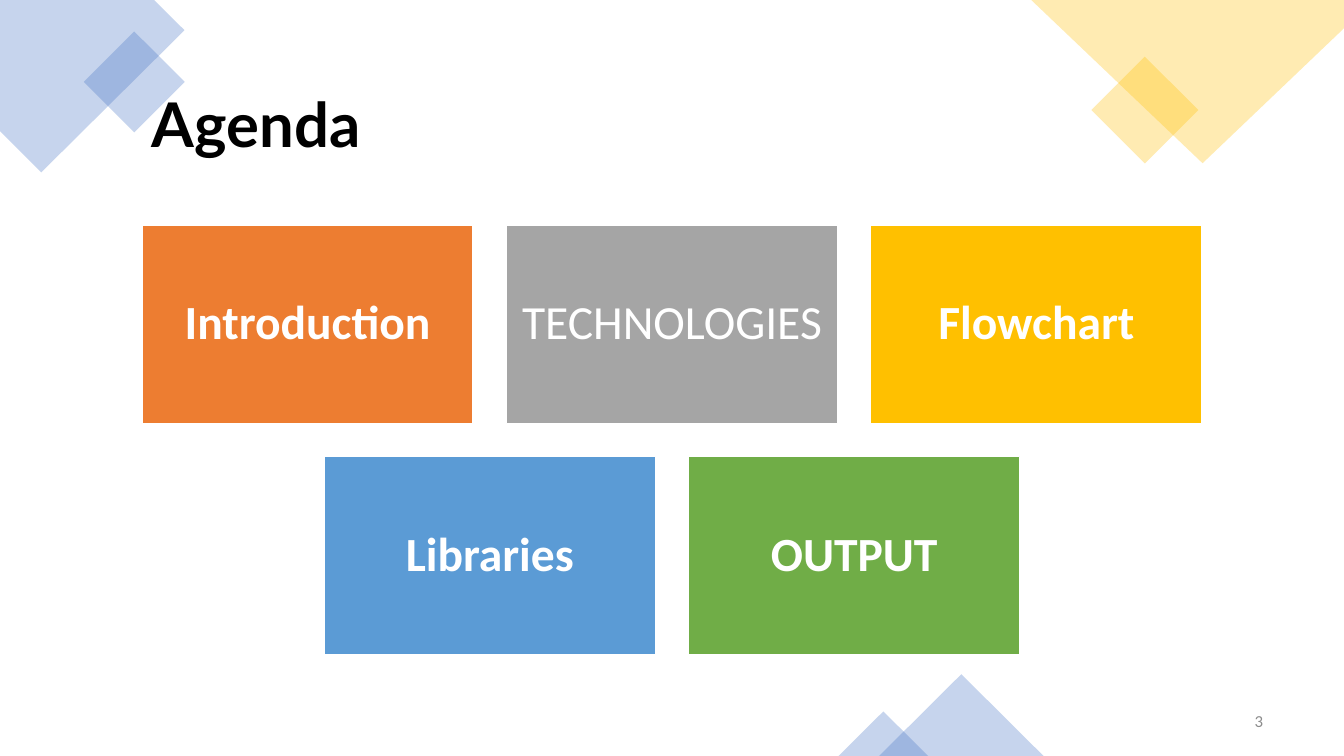
from dataclasses import dataclass

import lxml.etree
import pptx
import pptx.dml.color
import pptx.enum.shapes
import pptx.enum.text
import pptx.oxml.ns
import pptx.util

Pt = pptx.util.Pt
SHAPES = pptx.enum.shapes.MSO_SHAPE
ALIGN = pptx.enum.text.PP_ALIGN
MIDDLE = pptx.enum.text.MSO_ANCHOR.MIDDLE


@dataclass(frozen=True)
class Theme:
    white: str = "FFFFFF"
    black: str = "000000"
    muted: str = "8C8C8C"
    blue: str = "4472C4"
    gold: str = "FFC000"
    orange: str = "ED7D31"
    gray: str = "A5A5A5"
    sky: str = "5B9BD5"
    green: str = "70AD47"
    heading_font: str = "Lato"
    body_font: str = "Calibri"
    title_size: int = 44
    card_size: int = 34
    number_size: int = 12
    accent_opacity: int = 30


THEME = Theme()
SLIDE_WIDTH, SLIDE_HEIGHT = 960, 540

# Card grid
CARD_WIDTH, CARD_HEIGHT, CARD_GAP = 236.6, 141.8, 23.7
CARDS_TOP = 160.6
CARD_ROWS = [
    [("Introduction", THEME.orange, True),
     ("TECHNOLOGIES", THEME.gray, False),
     ("Flowchart", THEME.gold, True)],
    [("Libraries", THEME.sky, True),
     ("OUTPUT", THEME.green, True)],
]


def rgb(color):
    return pptx.dml.color.RGBColor.from_string(color)


def fill_solid(shape, color):
    shape.shadow.inherit = False
    shape.fill.solid()
    shape.fill.fore_color.rgb = rgb(color)


def style_accent(shape, color):
    """Give a corner decoration a translucent fill and no outline."""
    fill_solid(shape, color)
    shape.line.fill.background()
    qn = pptx.oxml.ns.qn
    color_node = next(shape.element.spPr.iter(qn("a:srgbClr")))
    alpha = lxml.etree.SubElement(color_node, qn("a:alpha"))
    alpha.set("val", str(THEME.accent_opacity * 1000))


def add_accent(slide, kind, box, color, rotation=0):
    accent = slide.shapes.add_shape(kind, *map(Pt, box))
    accent.rotation = rotation
    style_accent(accent, color)


def add_corner(slide, points, color):
    start, *rest = [(Pt(x), Pt(y)) for x, y in points]
    outline = slide.shapes.build_freeform(*start)
    outline.add_line_segments(rest, close=True)
    style_accent(outline.convert_to_shape(), color)


def write_text(shape, text, font_name, size, color, align, bold=False, spacing=1.0):
    frame = shape.text_frame
    frame.word_wrap = True
    frame.vertical_anchor = MIDDLE
    paragraph = frame.paragraphs[0]
    paragraph.text = text
    paragraph.alignment = align
    paragraph.line_spacing = spacing
    font = paragraph.font
    font.name = font_name
    font.size = Pt(size)
    font.bold = bold
    font.color.rgb = rgb(color)


def add_label(slide, box, *text_style, **options):
    label = slide.shapes.add_textbox(*map(Pt, box))
    write_text(label, *text_style, **options)


def add_card(slide, left, top, topic, color, bold):
    card = slide.shapes.add_shape(
        SHAPES.RECTANGLE, Pt(left), Pt(top), Pt(CARD_WIDTH), Pt(CARD_HEIGHT))
    fill_solid(card, color)
    card.line.color.rgb = rgb(THEME.white)
    card.line.width = Pt(1)
    frame = card.text_frame
    frame.margin_left = frame.margin_right = Pt(10)
    frame.margin_top = frame.margin_bottom = Pt(10)
    write_text(card, topic, THEME.body_font, THEME.card_size, THEME.white,
               ALIGN.CENTER, bold=bold, spacing=0.9)


def add_cards(slide):
    """Centre each row of cards on the slide."""
    for row, cards in enumerate(CARD_ROWS):
        row_width = len(cards) * (CARD_WIDTH + CARD_GAP) - CARD_GAP
        row_left = (SLIDE_WIDTH - row_width) / 2
        top = CARDS_TOP + row * (CARD_HEIGHT + CARD_GAP)
        for column, card in enumerate(cards):
            add_card(slide, row_left + column * (CARD_WIDTH + CARD_GAP), top, *card)


def main():
    deck = pptx.Presentation()
    deck.slide_width, deck.slide_height = Pt(SLIDE_WIDTH), Pt(SLIDE_HEIGHT)
    slide = deck.slides.add_slide(deck.slide_layouts[6])

    # Corner decorations
    add_corner(slide, [(0, 0), (110.2, 0), (131.8, 21.6), (29.5, 123.1), (0, 93.6)],
               THEME.blue)
    add_accent(slide, SHAPES.RECTANGLE, (70.4, 33, 51, 51), THEME.blue, rotation=315)
    add_accent(slide, SHAPES.RECTANGLE, (790.8, 51.6, 54, 54), THEME.gold, rotation=315)
    add_corner(slide, [(960, 0), (736.6, 0), (859, 116.6), (960, 20.2)], THEME.gold)

    # Slide number
    add_label(slide, (693.4, 500.5, 216, 28.8), "3", THEME.body_font,
              THEME.number_size, THEME.muted, ALIGN.RIGHT)

    # Bottom decorations
    add_accent(slide, SHAPES.ISOSCELES_TRIANGLE, (628, 481.6, 117.4, 58.4), THEME.blue)
    add_accent(slide, SHAPES.ISOSCELES_TRIANGLE, (599, 508.2, 64, 31.8), THEME.blue)

    # Title and agenda topics
    add_label(slide, (101.4, 48.2, 802.8, 86.4), "Agenda", THEME.heading_font,
              THEME.title_size, THEME.black, ALIGN.LEFT, bold=True, spacing=0.9)
    add_cards(slide)

    deck.save("out.pptx")


if __name__ == "__main__":
    main()
